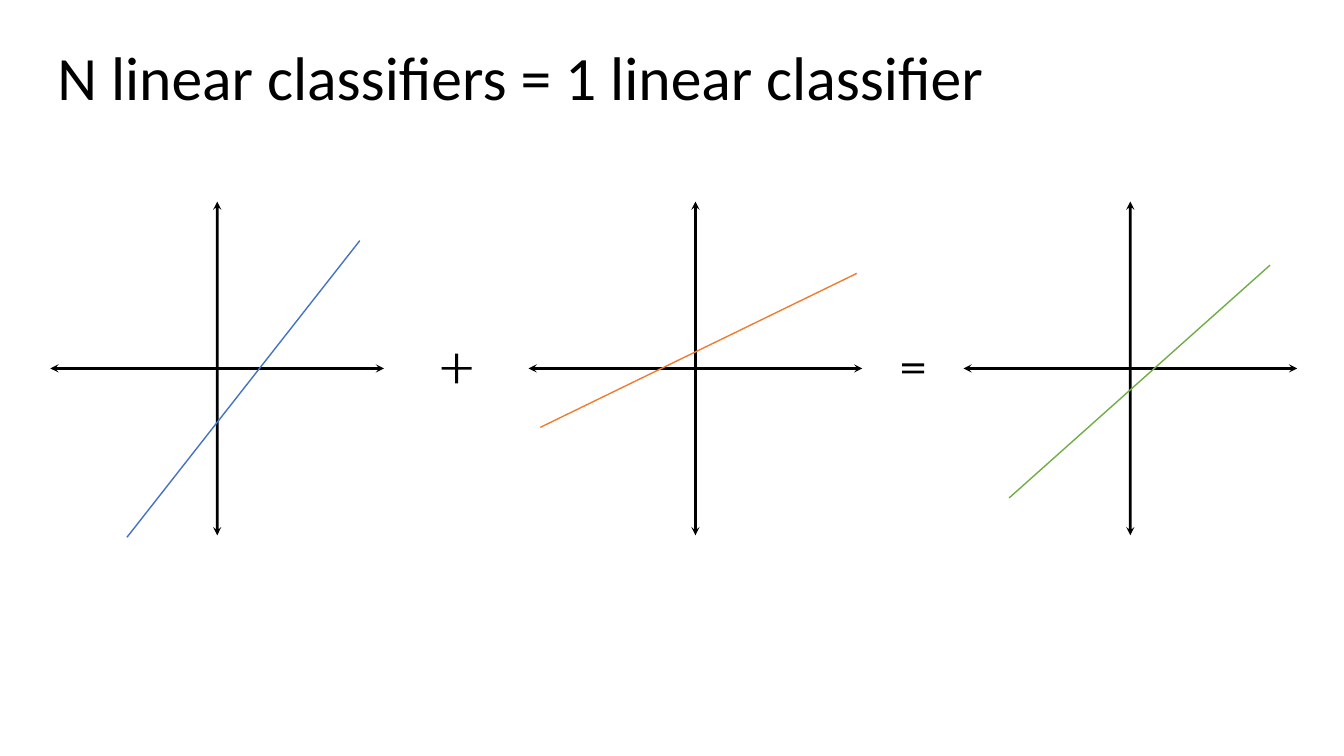
from dataclasses import dataclass

from lxml.etree import SubElement
from pptx import Presentation
from pptx.dml.color import RGBColor
from pptx.enum.shapes import MSO_CONNECTOR, MSO_SHAPE
from pptx.enum.text import MSO_ANCHOR
from pptx.oxml.ns import qn
from pptx.util import Pt


@dataclass(frozen=True)
class Theme:
    font: str = "Calibri"
    title_size: float = 44
    axis_width: float = 2
    line_width: float = 1
    ink: RGBColor = RGBColor(0x00, 0x00, 0x00)
    blue: RGBColor = RGBColor(0x44, 0x72, 0xC4)
    orange: RGBColor = RGBColor(0xED, 0x7D, 0x31)
    green: RGBColor = RGBColor(0x70, 0xAD, 0x47)


THEME = Theme()
PLOT_TOP, PLOT_SIZE = 144, 238.4
HEAD_LENGTH, HEAD_HALF, HEAD_NOTCH = 6, 3, 4.3


def fill_ink(sp):
    sp.shadow.inherit = False
    sp.fill.solid()
    sp.fill.fore_color.rgb = THEME.ink
    sp.line.fill.background()


def add_title(s, x, y, w, h, text):
    tb = s.shapes.add_textbox(Pt(x), Pt(y), Pt(w), Pt(h))
    tf = tb.text_frame
    tf.word_wrap = True
    tf.vertical_anchor = MSO_ANCHOR.MIDDLE
    tf.margin_left = tf.margin_right = tf.margin_bottom = 0
    tf.margin_top = Pt(1)
    r = tf.paragraphs[0].add_run()
    r.text = text
    r.font.name = THEME.font
    r.font.size = Pt(THEME.title_size)
    r.font.color.rgb = THEME.ink


def add_axes(shapes, x, y, size):
    """One outline: an arrow from the centre, repeated by quarter turns."""
    mid, half = size / 2, THEME.axis_width / 2
    arm = [(half, -half), (mid - HEAD_NOTCH, -half),
           (mid - HEAD_LENGTH, -HEAD_HALF), (mid, 0),
           (mid - HEAD_LENGTH, HEAD_HALF), (mid - HEAD_NOTCH, half)]
    outline = []
    for _ in range(4):
        outline += arm
        arm = [(-dy, dx) for dx, dy in arm]
    points = [(Pt(x + mid + dx), Pt(y + mid + dy)) for dx, dy in outline]
    builder = shapes.build_freeform(*points[0])
    builder.add_line_segments(points[1:], close=True)
    fill_ink(builder.convert_to_shape())


def add_plot(s, x, y, size, start, end, color):
    """Crossed axes filling a square, with one classifier line."""
    shapes = s.shapes.add_group_shape().shapes
    add_axes(shapes, x, y, size)
    c = shapes.add_connector(MSO_CONNECTOR.STRAIGHT,
                             Pt(x + start[0]), Pt(y + start[1]),
                             Pt(x + end[0]), Pt(y + end[1]))
    c.line.color.rgb = color
    c.line.width = Pt(THEME.line_width)
    SubElement(c._element.spPr, qn("a:effectLst"))


def add_operator(s, kind, center_x, center_y, w, h, adjustments):
    sp = s.shapes.add_shape(kind, Pt(center_x - w / 2), Pt(center_y - h / 2),
                            Pt(w), Pt(h))
    for i, value in enumerate(adjustments):
        sp.adjustments[i] = value
    fill_ink(sp)


def main():
    prs = Presentation()
    prs.slide_width, prs.slide_height = Pt(960), Pt(540)
    s = prs.slides.add_slide(prs.slide_layouts[6])

    # Title
    add_title(s, 41, 26, 721, 54.7, "N linear classifiers = 1 linear classifier")

    # Plots: left edge, then line ends measured from the plot corner
    plots = (
        (36, (54.7, 239.8), (221, 27.9), THEME.blue),
        (377.6, (8.3, 161.3), (234.4, 51.3), THEME.orange),
        (688.2, (32.6, 211.7), (219, 45.4), THEME.green),
    )
    for left, start, end, color in plots:
        add_plot(s, left, PLOT_TOP, PLOT_SIZE, start, end, color)

    # Operators, level with the horizontal axes
    axis_y = PLOT_TOP + PLOT_SIZE / 2
    add_operator(s, MSO_SHAPE.CROSS, 326.2, axis_y, 21.4, 21.2, (0.455,))
    add_operator(s, MSO_SHAPE.MATH_EQUAL, 652.2, axis_y, 21.4, 16, (0.13, 0.19))

    prs.save("out.pptx")


if __name__ == "__main__":
    main()
